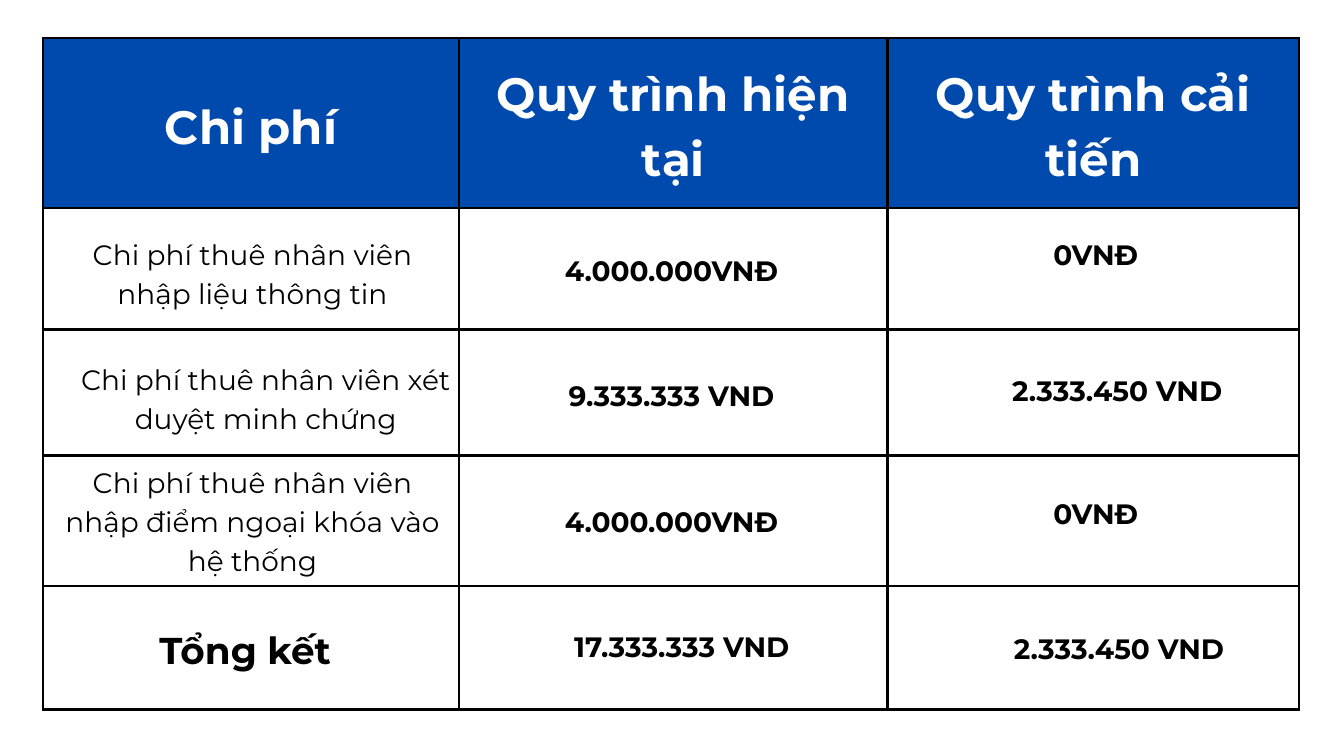
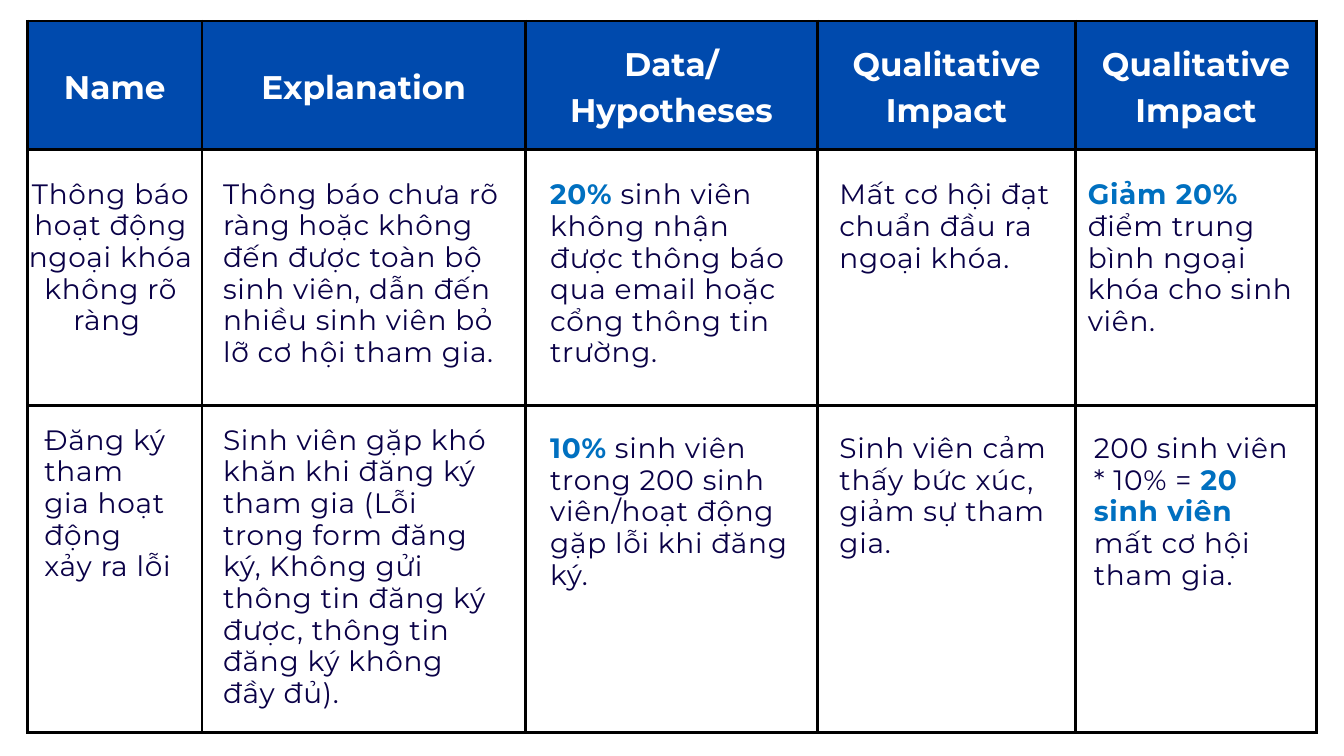
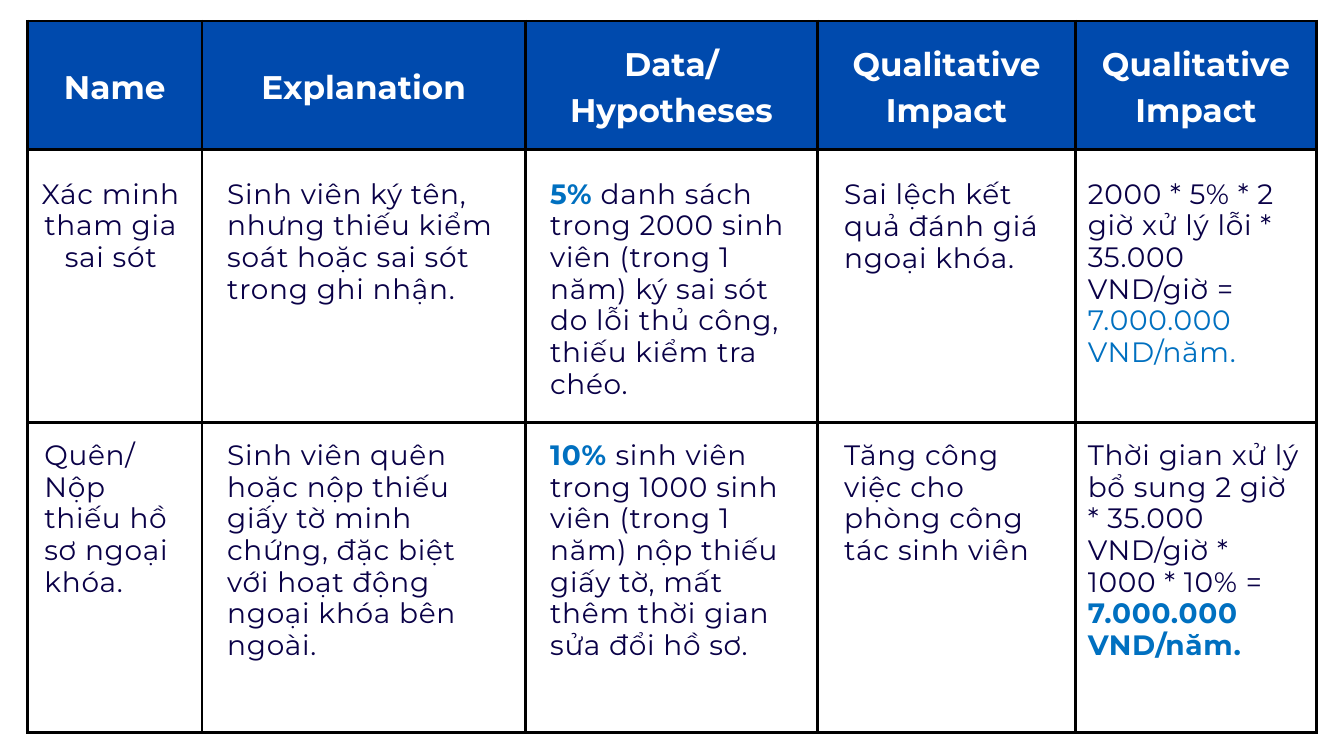
from itertools import accumulate

from lxml import etree
from pptx import Presentation
from pptx.dml.color import RGBColor
from pptx.enum import text as t
from pptx.oxml import ns
from pptx.util import Pt

FONT = "Montserrat"
BLUE, BLACK, WHITE, NAVY, ACCENT = "004AAD", "000000", "FFFFFF", "0A0147", "0070C0"
CENTER, LEFT = t.PP_ALIGN.CENTER, t.PP_ALIGN.LEFT
TINT = {"color": ACCENT}
STRONG = {"color": ACCENT, "bold": True}

COST_HEADER = {"size": 50, "color": WHITE, "bold": True, "leading": 70}
IMPACT_HEADER = {"size": 35, "color": WHITE, "bold": True, "leading": 49}
COST = {"size": 30, "color": BLACK, "leading": 42, "align": CENTER}
AMOUNT = {**COST, "bold": True}
TOTAL = {**AMOUNT, "size": 40, "leading": 56}
IMPACT = {"size": 30, "color": NAVY, "leading": 33.9, "align": LEFT, "tracking": 0.8}
IMPACT_CENTERED = {**IMPACT, "align": CENTER}


def rgb(value):
    return RGBColor.from_string(value)


def write(frame, runs, style):
    """Fill a text frame with one paragraph; runs is a string or (text, changes) pairs."""
    paragraph = frame.paragraphs[0]
    paragraph.alignment = style.get("align", CENTER)
    paragraph.line_spacing = Pt(style["leading"])
    for wording, changes in [(runs, {})] if isinstance(runs, str) else runs:
        look = {**style, **changes}
        run = paragraph.add_run()
        run.text = wording
        font = {"name": FONT, "size": Pt(look["size"]), "bold": look.get("bold", False)}
        for key, value in font.items():
            setattr(run.font, key, value)
        run.font.color.rgb = rgb(look["color"])
        if "tracking" in look:
            run._r.get_or_add_rPr().set("spc", str(round(look["tracking"] * 100)))


def set_margins(target, points):
    for side in ("left", "top", "right", "bottom"):
        setattr(target, f"margin_{side}", Pt(points))


def draw_borders(cell, width=3):
    properties = cell._tc.get_or_add_tcPr()
    for side in ("lnL", "lnR", "lnT", "lnB"):
        line = etree.SubElement(properties, ns.qn(f"a:{side}"), w=str(Pt(width)))
        fill = etree.SubElement(line, ns.qn("a:solidFill"))
        etree.SubElement(fill, ns.qn("a:srgbClr"), val=BLACK)


def add_grid(slide, left, top, widths, heights, headings, style):
    """Add a ruled table with a header row; return its column lefts and row tops."""
    frame = slide.shapes.add_table(len(heights), len(widths), Pt(left), Pt(top),
                                   Pt(sum(widths)), Pt(sum(heights)))
    table = frame.table
    table.first_row = table.horz_banding = False
    for column, width in zip(table.columns, widths):
        column.width = Pt(width)
    for row, height in zip(table.rows, heights):
        row.height = Pt(height)
    for cell in table.iter_cells():
        draw_borders(cell)
        cell.fill.background()
    for cell, heading in zip(table.rows[0].cells, headings):
        cell.fill.solid()
        cell.fill.fore_color.rgb = rgb(BLUE)
        cell.vertical_anchor = t.MSO_ANCHOR.MIDDLE
        set_margins(cell, 15)
        write(cell.text_frame, heading, style)
    return list(accumulate(widths, initial=left)), list(accumulate(heights, initial=top))


def add_entry(slide, left, top, width, lines, runs, style):
    box = slide.shapes.add_textbox(Pt(left), Pt(top), Pt(width), Pt(lines * style["leading"]))
    frame = box.text_frame
    frame.word_wrap = True
    frame.auto_size = t.MSO_AUTO_SIZE.SHAPE_TO_FIT_TEXT
    set_margins(frame, 0)
    write(frame, runs, style)


def fill_grid(slide, grid, rows):
    """Place each entry by its offset from the corner of its cell."""
    lefts, tops = grid
    for top, row in zip(tops[1:], rows):
        for left, (dx, dy, width, lines, runs, style) in zip(lefts, row):
            add_entry(slide, left + dx, top + dy, width, lines, runs, style)


def cost_slide(slide):
    grid = add_grid(slide, 46, 41, [446, 459, 441], [182, 130, 135, 140, 132.5],
                    ["Chi phí", "Quy trình hiện tại", "Quy trình cải tiến"], COST_HEADER)

    def amount(dx, dy, value):
        return dx, dy, 319, 1, value, AMOUNT

    fill_grid(slide, grid, [
        [(35, 25, 379, 2, "Chi phí thuê nhân viên nhập liệu thông tin", COST),
         amount(68, 43, "4.000.000VNĐ"), amount(63.5, 25, "0VNĐ")],
        [(35, 29, 407.5, 2, "Chi phí thuê nhân viên xét duyệt minh chứng", COST),
         amount(68, 47, "9.333.333 VND"), amount(86.5, 41, "2.333.450 VND")],
        [(22.5, 4.5, 404, 3, "Chi phí thuê nhân viên nhập điểm ngoại khóa vào hệ thống", COST),
         amount(68, 47, "4.000.000VNĐ"), amount(63.5, 37.5, "0VNĐ")],
        [(35, 36.5, 363.5, 1, "Tổng kết", TOTAL),
         amount(79, 41, "17.333.333 VND"), amount(88.5, 43, "2.333.450 VND")],
    ])


def impact_slide(slide, body_heights, rows):
    grid = add_grid(slide, 29.5, 22.5, [187, 346.5, 313, 276.5, 258], [137.5, *body_heights],
                    ["Name", "Explanation", "Data/ Hypotheses",
                     "Qualitative Impact", "Qualitative Impact"], IMPACT_HEADER)
    fill_grid(slide, grid, rows)


def name_centered(lines, runs):
    return 0, 31, 178.5, lines, runs, IMPACT_CENTERED


def name_left(dy, lines, runs):
    return 18, dy, 142.5, lines, runs, IMPACT


def explanation(dx, dy, width, lines, runs):
    return dx, dy, width, lines, runs, IMPACT


def hypothesis(dy, lines, share, rest):
    return 26.5, dy, 260.5, lines, [(share, STRONG), (rest, {})], IMPACT


def impact(dx, dy, lines, runs, width=227.5):
    return dx, dy, width, lines, runs, IMPACT


SIGN_UP_ISSUES = [
    [name_centered(5, "Thông báo hoạt động ngoại khóa không rõ ràng "),
     explanation(22.5, 31, 310, 6, "Thông báo chưa rõ ràng hoặc không đến được toàn bộ sinh viên, "
                                   "dẫn đến nhiều sinh viên bỏ lỡ cơ hội tham gia."),
     hypothesis(31.5, 6, "20%", " sinh viên không nhận được thông báo qua email hoặc "
                                "cổng thông tin trường."),
     impact(23.5, 31.5, 3, "Mất cơ hội đạt chuẩn đầu ra ngoại khóa."),
     impact(13, 31.5, 5, [("Giảm 20% ", STRONG),
                          ("điểm trung bình ngoại khóa cho sinh viên.", {})])],
    [name_left(20, 5, "Đăng ký tham gia hoạt động xảy ra lỗi"),
     explanation(22.5, 20, 293, 9, "Sinh viên gặp khó khăn khi đăng ký tham gia (Lỗi trong form "
                                   "đăng ký, Không gửi thông tin đăng ký được, thông tin đăng ký "
                                   "không đầy đủ)."),
     hypothesis(29, 5, "10%", " sinh viên trong 200 sinh viên/hoạt động gặp lỗi khi đăng ký."),
     impact(23.5, 29, 4, "Sinh viên cảm thấy bức xúc, giảm sự tham gia."),
     impact(19.5, 29, 5, [("200 sinh viên * 10% = ", {}), ("20 sinh viên ", STRONG),
                          ("mất cơ hội tham gia.", {})], width=220.5)],
]

RECORD_ISSUES = [
    [name_centered(3, "Xác minh tham gia sai sót"),
     explanation(27, 31, 310, 4, "Sinh viên ký tên, nhưng thiếu kiểm soát hoặc sai sót "
                                 "trong ghi nhận."),
     hypothesis(31, 7, "5%", " danh sách trong 2000 sinh viên (trong 1 năm) ký sai sót do lỗi "
                             "thủ công, thiếu kiểm tra chéo."),
     impact(28.5, 31.5, 3, "Sai lệch kết quả đánh giá ngoại khóa."),
     impact(13, 31, 6, [("2000 * 5% * 2 giờ xử lý lỗi * 35.000 VND/giờ = ", {}),
                        ("7.000.000 VND/năm.", TINT)])],
    [name_left(18.5, 6, "Quên/ Nộp thiếu hồ sơ ngoại khóa."),
     explanation(27, 18.5, 293, 7, "Sinh viên quên hoặc nộp thiếu giấy tờ minh chứng, đặc biệt "
                                   "với hoạt động ngoại khóa bên ngoài."),
     hypothesis(18.5, 7, "10% ", "sinh viên trong 1000 sinh viên (trong 1 năm) nộp thiếu giấy tờ, "
                                 "mất thêm thời gian sửa đổi hồ sơ."),
     impact(28.5, 18.5, 4, "Tăng công việc cho phòng công tác sinh viên"),
     impact(13, 18.5, 7, [("Thời gian xử lý bổ sung 2 giờ * 35.000 VND/giờ * 1000 * 10% = ", {}),
                          ("7.000.000 VND/năm.", STRONG)])],
]


def main():
    deck = Presentation()
    deck.slide_width, deck.slide_height = Pt(1440), Pt(810)
    blank = deck.slide_layouts[6]
    cost_slide(deck.slides.add_slide(blank))
    impact_slide(deck.slides.add_slide(blank), [274.5, 350.5], SIGN_UP_ISSUES)
    impact_slide(deck.slides.add_slide(blank), [292.5, 332.5], RECORD_ISSUES)
    deck.save("out.pptx")


if __name__ == "__main__":
    main()
